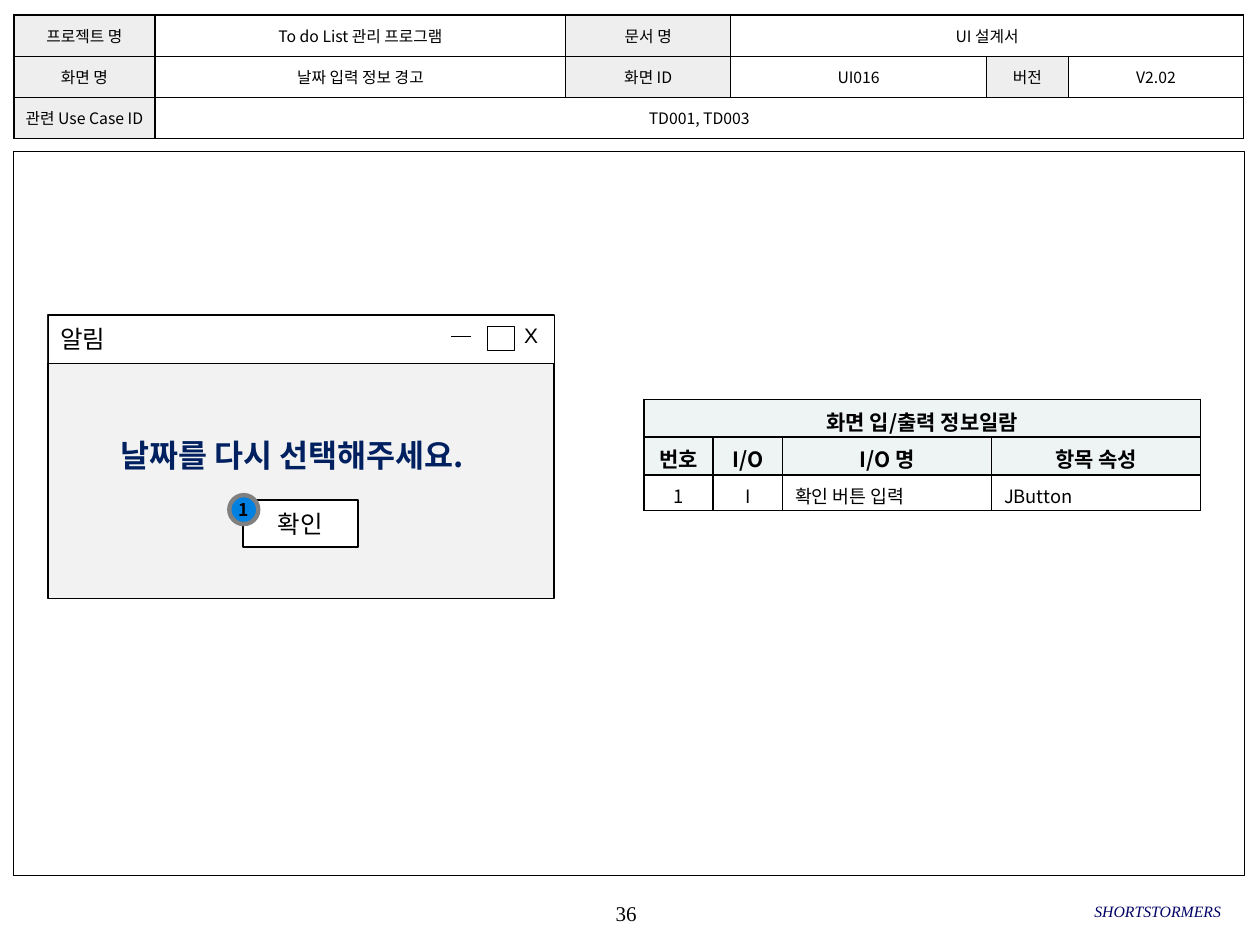
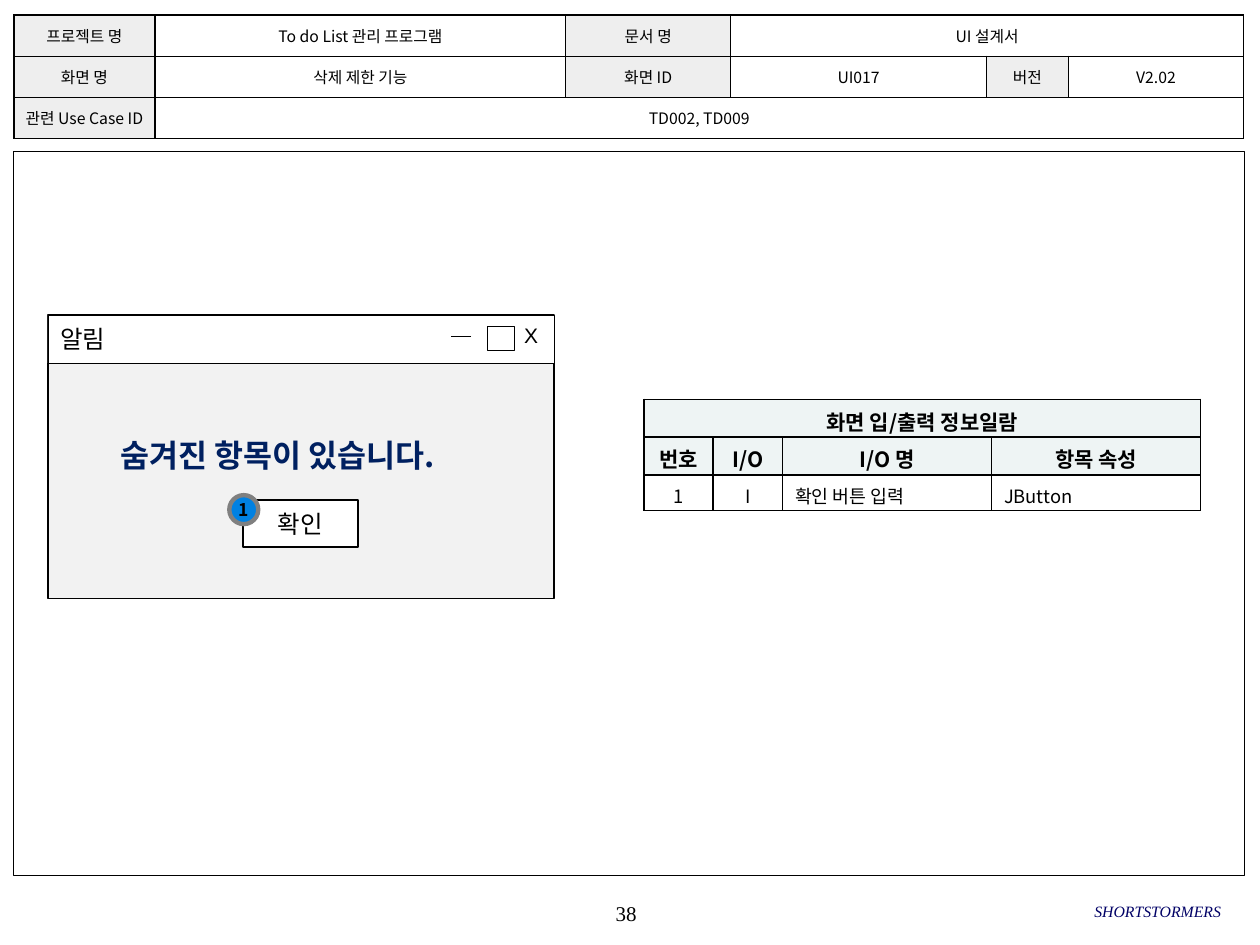
from dataclasses import dataclass
from typing import Optional

from lxml import etree
from pptx import Presentation
from pptx.dml.color import RGBColor
from pptx.enum.shapes import MSO_CONNECTOR, MSO_SHAPE
from pptx.enum.text import MSO_ANCHOR, PP_ALIGN
from pptx.oxml.ns import qn
from pptx.util import Inches, Pt

LEFT, CENTER, RIGHT = PP_ALIGN.LEFT, PP_ALIGN.CENTER, PP_ALIGN.RIGHT
TOP, MIDDLE = MSO_ANCHOR.TOP, MSO_ANCHOR.MIDDLE
RECTANGLE, OVAL = MSO_SHAPE.RECTANGLE, MSO_SHAPE.OVAL
STRAIGHT = MSO_CONNECTOR.STRAIGHT


@dataclass(frozen=True)
class TextStyle:
    font: str
    size: float
    color: str = "000000"
    bold: bool = False
    italic: bool = False
    align: PP_ALIGN = LEFT


@dataclass(frozen=True)
class Theme:
    korean = "Noto Sans CJK KR"
    serif = "Times New Roman"
    black = "000000"
    white = "FFFFFF"
    window = "F2F2F2"
    label = "EEEEEE"
    heading = "EEF4F4"
    marker = "0081E2"
    marker_ring = "808080"
    thin, frame, border, ring = 0.25, 0.75, 1, 2.5
    page_number = TextStyle(serif, 12, align=CENTER)
    team = TextStyle(serif, 9, "000066", italic=True, align=RIGHT)
    info = TextStyle(korean, 9, align=CENTER)
    window_title = TextStyle(korean, 14)
    button = TextStyle(korean, 14, align=CENTER)
    close = TextStyle("Arial", 12)
    badge = TextStyle(korean, 10, bold=True, align=CENTER)
    message = TextStyle(korean, 18, "002060", bold=True)
    io_heading = TextStyle(korean, 12, bold=True, align=CENTER)
    io_key = TextStyle(korean, 10.5, align=CENTER)
    io_value = TextStyle(korean, 10.5)


THEME = Theme()


@dataclass(frozen=True)
class Area:
    left: float
    top: float
    width: float
    height: float

    def lengths(self) -> tuple:
        return tuple(Inches(n) for n in (self.left, self.top, self.width, self.height))


@dataclass(frozen=True)
class Cell:
    text: str
    style: TextStyle
    fill: Optional[str] = None
    span: int = 1


@dataclass(frozen=True)
class Screen:
    number: str
    name: str
    screen_id: str
    use_cases: str
    message: str


SCREENS = (
    Screen("36", "날짜 입력 정보 경고", "UI016", "TD001, TD003", "날짜를 다시 선택해주세요."),
    Screen("38", "삭제 제한 기능", "UI017", "TD002, TD009", "숨겨진 항목이 있습니다."),
)


def write(text_frame, text: str, style: TextStyle) -> None:
    para = text_frame.paragraphs[0]
    para.text = text
    para.alignment = style.align
    font = para.font
    font.size, font.bold, font.italic = Pt(style.size), style.bold, style.italic
    font.color.rgb = RGBColor.from_string(style.color)
    font.name = style.font
    defaults = para._p.pPr.find(qn("a:defRPr"))
    etree.SubElement(defaults, qn("a:ea"), typeface=style.font)


def set_margins(holder, margins: tuple) -> None:
    holder.margin_left, holder.margin_top, holder.margin_right, holder.margin_bottom = (
        Inches(n) for n in margins)


def add_text(shapes, area: Area, text: str, style: TextStyle, anchor=MIDDLE,
             margins: tuple = (0, 0, 0, 0), wrap: bool = True) -> None:
    text_frame = shapes.add_textbox(*area.lengths()).text_frame
    text_frame.word_wrap = wrap
    text_frame.vertical_anchor = anchor
    set_margins(text_frame, margins)
    write(text_frame, text, style)


def add_box(shapes, area: Area, fill: Optional[str], line_width: float, line: str = THEME.black,
            kind=RECTANGLE, text: str = "", style: Optional[TextStyle] = None,
            margins: tuple = (0.1, 0.05, 0.1, 0.05)) -> None:
    box = shapes.add_shape(kind, *area.lengths())
    box.shadow.inherit = False
    if fill:
        box.fill.solid()
        box.fill.fore_color.rgb = RGBColor.from_string(fill)
    else:
        box.fill.background()
    box.line.color.rgb = RGBColor.from_string(line)
    box.line.width = Pt(line_width)
    if style:
        box.text_frame.vertical_anchor = MIDDLE
        set_margins(box.text_frame, margins)
        write(box.text_frame, text, style)


def add_line(shapes, start: tuple, end: tuple, width: float) -> None:
    line = shapes.add_connector(STRAIGHT, *(Inches(n) for n in start + end))
    line.line.color.rgb = RGBColor.from_string(THEME.black)
    line.line.width = Pt(width)
    etree.SubElement(line._element.spPr, qn("a:effectLst"))


def add_borders(cell) -> None:
    properties = cell._tc.get_or_add_tcPr()
    for index, side in enumerate(("lnL", "lnR", "lnT", "lnB")):
        border = etree.Element(qn(f"a:{side}"), w=str(Pt(THEME.border)))
        fill = etree.SubElement(border, qn("a:solidFill"))
        etree.SubElement(fill, qn("a:srgbClr"), val=THEME.black)
        properties.insert(index, border)


def add_grid(shapes, area: Area, widths: tuple, heights: tuple, rows: tuple,
             margins: tuple) -> None:
    table = shapes.add_table(len(heights), len(widths), *area.lengths()).table
    table.first_row = table.horz_banding = False
    for column, width in zip(table.columns, widths):
        column.width = Inches(width)
    for row, height in zip(table.rows, heights):
        row.height = Inches(height)
    for row_index, row in enumerate(rows):
        column_index = 0
        for item in row:
            last = column_index + item.span - 1
            cell = table.cell(row_index, column_index)
            if item.span > 1:
                cell.merge(table.cell(row_index, last))
            for position in range(column_index, last + 1):
                part = table.cell(row_index, position)
                if item.fill:
                    part.fill.solid()
                    part.fill.fore_color.rgb = RGBColor.from_string(item.fill)
                else:
                    part.fill.background()
                add_borders(part)
            cell.vertical_anchor = MIDDLE
            set_margins(cell, margins)
            write(cell.text_frame, item.text, item.style)
            column_index = last + 1


def add_page_frame(shapes, screen: Screen) -> None:
    add_text(shapes, Area(3.93, 7.08, 2.08, 0.33), screen.number, THEME.page_number)
    add_box(shapes, Area(0.11, 1.2, 9.77, 5.75), None, THEME.frame)
    add_text(shapes, Area(6.63, 7.07, 3.06, 0.33), "SHORTSTORMERS", THEME.team)


def add_info_table(shapes, screen: Screen) -> None:
    def label(text: str) -> Cell:
        return Cell(text, THEME.info, THEME.label)

    def value(text: str, span: int = 1) -> Cell:
        return Cell(text, THEME.info, span=span)

    rows = (
        (label("프로젝트 명"), value("To do List 관리 프로그램"),
         label("문서 명"), value("UI 설계서", 3)),
        (label("화면 명"), value(screen.name), label("화면 ID"), value(screen.screen_id),
         label("버전"), value("V2.02")),
        (label("관련 Use Case ID"), value(screen.use_cases, 5)),
    )
    area = Area(0.11, 0.12, 9.77, 0.98)
    add_grid(shapes, area, (1.12, 3.26, 1.31, 2.03, 0.65, 1.39),
             (area.height / len(rows),) * len(rows), rows, (0.04, 0.02, 0.04, 0.02))


def add_alert_window(shapes, message: str) -> None:
    window = shapes.add_group_shape().shapes
    add_box(window, Area(0.38, 2.5, 4.02, 2.25), THEME.window, THEME.border)
    add_box(window, Area(0.38, 2.5, 4.02, 0.38), THEME.white, THEME.thin,
            text="알림", style=THEME.window_title)
    add_text(window, Area(4.13, 2.51, 0.13, 0.3), "X", THEME.close, TOP,
             (0.03, 0.05, 0, 0.05), wrap=False)
    add_box(window, Area(3.87, 2.59, 0.21, 0.19), THEME.white, THEME.thin)
    add_line(window, (3.74, 2.67), (3.58, 2.67), THEME.thin)
    add_box(window, Area(1.93, 3.97, 0.91, 0.37), THEME.white, THEME.border,
            text="확인", style=THEME.button)
    add_box(shapes, Area(1.82, 3.93, 0.23, 0.23), THEME.marker, THEME.ring, THEME.marker_ring,
            OVAL, "1", THEME.badge, (0, 0, 0, 0))
    add_text(shapes, Area(0.86, 3.41, 3.22, 0.4), message, THEME.message, TOP,
             (0.1, 0.05, 0.1, 0.05))


def add_io_table(shapes) -> None:
    def heading(text: str, span: int = 1) -> Cell:
        return Cell(text, THEME.io_heading, THEME.heading, span)

    rows = (
        (heading("화면 입/출력 정보일람", 4),),
        tuple(heading(text) for text in ("번호", "I/O", "I/O 명", "항목 속성")),
        (Cell("1", THEME.io_key, THEME.white), Cell("I", THEME.io_key, THEME.white),
         Cell("확인 버튼 입력", THEME.io_value, THEME.white),
         Cell("JButton", THEME.io_value, THEME.white)),
    )
    add_grid(shapes, Area(5.11, 3.17, 4.43, 0.88), (0.55, 0.55, 1.66, 1.66),
             (0.3, 0.3, 0.28), rows, (0.1, 0.05, 0.1, 0.01))


def main() -> None:
    deck = Presentation()
    deck.slide_width, deck.slide_height = Inches(10), Inches(7.5)
    blank = deck.slide_layouts[6]
    for screen in SCREENS:
        shapes = deck.slides.add_slide(blank).shapes
        add_page_frame(shapes, screen)
        add_alert_window(shapes, screen.message)
        add_io_table(shapes)
        add_info_table(shapes, screen)
    deck.save("out.pptx")


if __name__ == "__main__":
    main()
